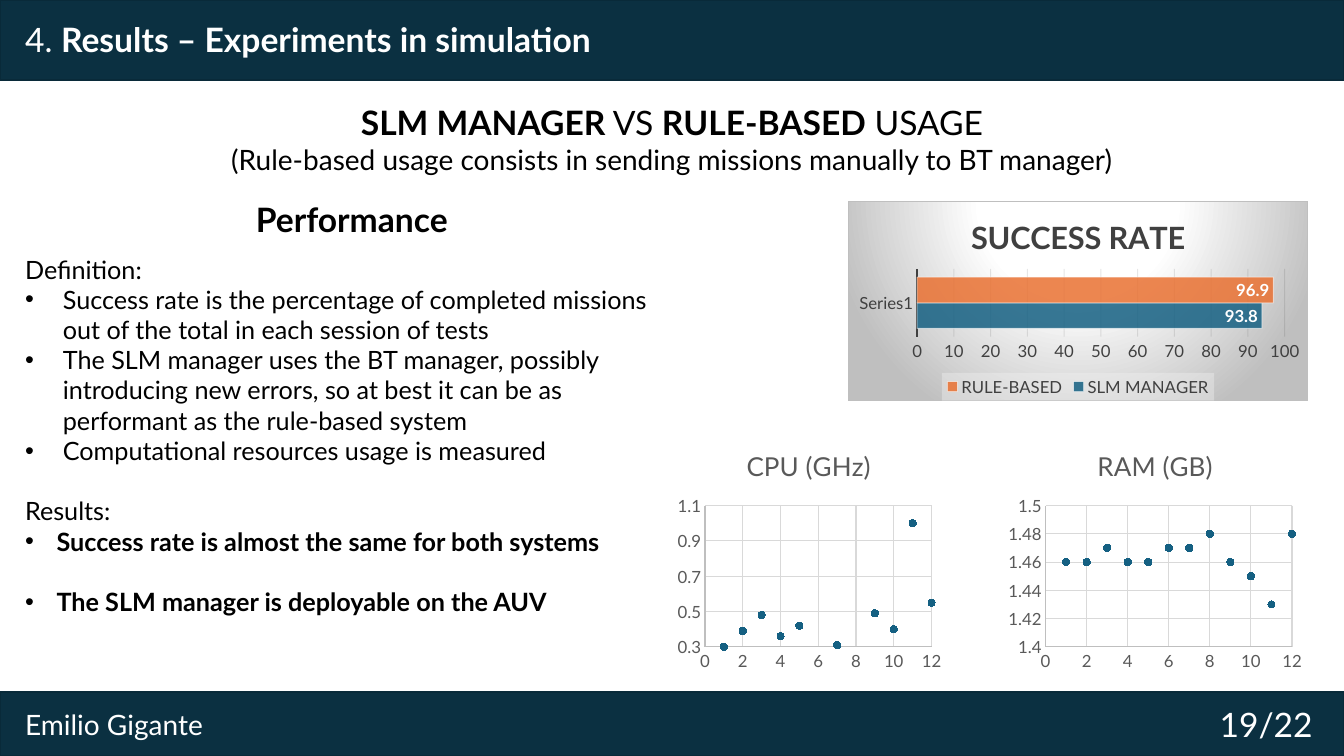
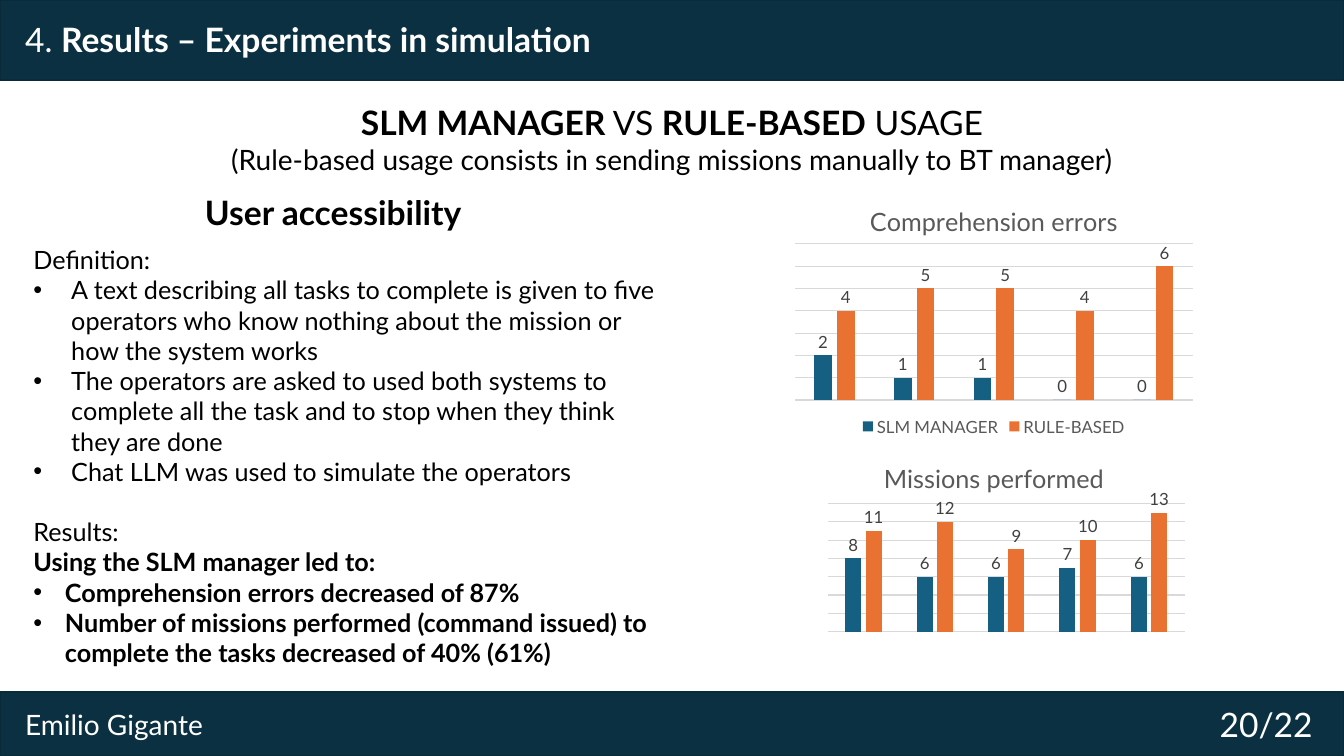
"""Builds two slides of experiment results with native charts and text."""
from dataclasses import dataclass
from typing import NamedTuple

from pptx import Presentation, util as u
from pptx.chart import data
from pptx.dml.color import RGBColor
from pptx.enum import chart as charts, shapes, text
from pptx.oxml import parse_xml
from pptx.oxml.ns import nsdecls

FONT = "Lato"
NAVY = RGBColor(0x0B, 0x30, 0x41)
NAVY_EDGE = RGBColor(0x09, 0x2A, 0x39)
WHITE = RGBColor(0xFF, 0xFF, 0xFF)
BLACK = RGBColor(0, 0, 0)
BLUE = RGBColor(0x15, 0x60, 0x82)
ORANGE = RGBColor(0xE9, 0x71, 0x32)
DARK_GREY = RGBColor(0x40, 0x40, 0x40)
GREY = RGBColor(0x59, 0x59, 0x59)
AXIS_GREY = RGBColor(0xBF, 0xBF, 0xBF)
GRID_GREY = RGBColor(0xD9, 0xD9, 0xD9)
GRID_DARK = RGBColor(0x0D, 0x0D, 0x0D)
SERIES_COLORS = (BLUE, ORANGE)
WIDTH, HEIGHT = 960, 540
LINE = 21.6
PLAIN_BACKGROUND = "<a:noFill/><a:ln><a:noFill/></a:ln>"
GLOW_BACKGROUND = (
    '<a:gradFill><a:gsLst><a:gs pos="0"><a:srgbClr val="FFFFFF"/></a:gs>'
    '<a:gs pos="39000"><a:srgbClr val="FFFFFF"/></a:gs>'
    '<a:gs pos="100000"><a:srgbClr val="BFBFBF"/></a:gs></a:gsLst>'
    '<a:path path="circle"><a:fillToRect l="50000" t="-80000" r="50000" b="180000"/></a:path>'
    '</a:gradFill><a:ln w="9525"><a:solidFill><a:srgbClr val="BFBFBF"/></a:solidFill></a:ln>')
LEGEND_PANEL = ('<a:solidFill><a:srgbClr val="F2F2F2"><a:alpha val="39000"/></a:srgbClr>'
                '</a:solidFill>')


class Box(NamedTuple):
    left: float
    top: float
    width: float
    height: float

    def points(self) -> tuple:
        return tuple(u.Pt(value) for value in self)


class Scale(NamedTuple):
    low: float
    high: float
    step: float


@dataclass(frozen=True)
class Run:
    content: str
    size: float = 18
    bold: bool = False
    color: RGBColor = BLACK


@dataclass(frozen=True)
class Line:
    runs: tuple
    indent: float = 0
    before: float = 0


@dataclass(frozen=True)
class Scatter:
    title: str
    box: Box
    plot: Box
    scale: Scale
    values: tuple


@dataclass(frozen=True)
class Columns:
    title: str
    box: Box
    plot: Box
    scale: Scale
    series: dict
    legend: bool


@dataclass(frozen=True)
class Topic:
    number: str
    heading: str
    heading_box: Box
    body_box: Box
    body: tuple


def plain(content: str, before: float = 0) -> Line:
    return Line((Run(content),), before=before)


def bullet(content: str) -> Line:
    return Line((Run(content),), indent=27)


def finding(content: str, indent: float = 22.5, before: float = 0) -> Line:
    return Line((Run(content, bold=True),), indent, before)


TITLE = (Line((Run("4. ", 24, color=WHITE),
               Run("Results – Experiments in simulation", 24, True, WHITE))),)
COMPARISON = (
    Line((Run("SLM MANAGER", 24, True), Run(" VS ", 24), Run("RULE-BASED", 24, True),
          Run(" USAGE", 24))),
    Line((Run("(Rule-based usage consists in sending missions manually to BT manager)", 20),)),
)
PERFORMANCE = Topic(
    "19/22", "Performance", Box(16.5, 138.3, 469.5, 36), Box(10.8, 177.8, 469.5, 269),
    (plain("Definition:"),
     bullet("Success rate is the percentage of completed missions out of the total in each "
            "session of tests"),
     bullet("The SLM manager uses the BT manager, possibly introducing new errors, so at best "
            "it can be as performant as the rule-based system"),
     bullet("Computational resources usage is measured"),
     plain("Results:", LINE),
     finding("Success rate is almost the same for both systems"),
     finding("The SLM manager is deployable on the AUV", before=LINE)))
ACCESSIBILITY = Topic(
    "20/22", "User accessibility", Box(6.5, 133.2, 463, 36), Box(16.8, 171, 463, 334),
    (plain("Definition:"),
     bullet("A text describing all tasks to complete is given to five operators who know "
            "nothing about the mission or how the system works"),
     bullet("The operators are asked to used both systems to complete all the task and to stop "
            "when they think they are done"),
     bullet("Chat LLM was used to simulate the operators"),
     plain("Results:", LINE),
     finding("Using the SLM manager led to:", indent=0),
     finding("Comprehension errors decreased of 87%"),
     finding("Number of missions performed (command issued) to complete the tasks decreased "
             "of 40% (61%)")))
SCATTERS = (
    Scatter("CPU (GHz)", Box(480.2, 308.9, 195, 174.2), Box(0.12, 0.3, 0.83, 0.58),
            Scale(0.3, 1.1, 0.2),
            (0.3, 0.39, 0.48, 0.36, 0.42, 0.24, 0.31, 0.22, 0.49, 0.4, 1, 0.55)),
    Scatter("RAM (GB)", Box(716.4, 308.9, 217.4, 174.2), Box(0.14, 0.3, 0.81, 0.58),
            Scale(1.4, 1.5, 0.02),
            (1.46, 1.46, 1.47, 1.46, 1.46, 1.47, 1.47, 1.48, 1.46, 1.45, 1.43, 1.48)),
)
COLUMN_CHARTS = (
    Columns("Comprehension errors", Box(561.6, 134.6, 296.6, 180), Box(0.02, 0.22, 0.96, 0.62),
            Scale(0, 7, 1),
            {"SLM MANAGER": (2, 1, 1, 0, 0), "RULE-BASED": (4, 5, 5, 4, 6)}, True),
    Columns("Missions performed", Box(561.6, 318.2, 296.6, 172.8), Box(0.1, 0.24, 0.86, 0.53),
            Scale(0, 14, 2),
            {"Series 1": (8, 6, 6, 7, 6), "Series 2": (11, 12, 9, 10, 13)}, False),
)


def style_font(font, size: float, color: RGBColor, bold: bool = False) -> None:
    font.name, font.size, font.bold = FONT, u.Pt(size), bold
    font.color.rgb = color


def style_line(line, color: RGBColor, width: float) -> None:
    line.color.rgb = color
    line.width = u.Pt(width)


def add_bullet(paragraph, indent: float) -> None:
    properties = paragraph._p.get_or_add_pPr()
    properties.set("marL", str(u.Pt(indent)))
    properties.set("indent", str(-u.Pt(indent)))
    for tag in ('buFont typeface="Arial"', 'buChar char="•"'):
        properties.append(parse_xml(f"<a:{tag} {nsdecls('a')}/>"))


def add_text(slide, box: Box, lines: tuple, centered: bool = False) -> None:
    frame = slide.shapes.add_textbox(*box.points()).text_frame
    frame.word_wrap = True
    frame.auto_size = text.MSO_AUTO_SIZE.SHAPE_TO_FIT_TEXT
    for index, line in enumerate(lines):
        paragraph = frame.add_paragraph() if index else frame.paragraphs[0]
        paragraph.alignment = text.PP_ALIGN.CENTER if centered else text.PP_ALIGN.LEFT
        if line.before:
            paragraph.space_before = u.Pt(line.before)
        if line.indent:
            add_bullet(paragraph, line.indent)
        for item in line.runs:
            run = paragraph.add_run()
            run.text = item.content
            style_font(run.font, item.size, item.color, item.bold)


def add_band(slide, top: float, height: float) -> None:
    band = slide.shapes.add_shape(shapes.MSO_SHAPE.RECTANGLE,
                                  *Box(0, top, WIDTH, height).points())
    band.shadow.inherit = False
    band.fill.solid()
    band.fill.fore_color.rgb = NAVY
    style_line(band.line, NAVY_EDGE, 1.5)


def add_topic_slide(presentation, topic: Topic):
    slide = presentation.slides.add_slide(presentation.slide_layouts[6])
    add_band(slide, 0, 57)
    add_band(slide, 494.6, HEIGHT - 494.6)
    add_text(slide, Box(859, 499, 90.7, 36), (Line((Run(topic.number, 24, color=WHITE),)),), True)
    add_text(slide, Box(10.8, 502, 173.5, 31.5),
             (Line((Run("Emilio Gigante", 20, color=WHITE),)),))
    add_text(slide, Box(10.8, 10.1, 691, 36), TITLE)
    add_text(slide, Box(0, 69.1, WIDTH, 60.5), COMPARISON, True)
    add_text(slide, topic.heading_box, (Line((Run(topic.heading, 24, True),)),), True)
    add_text(slide, topic.body_box, topic.body)
    return slide


def shape_properties(content: str):
    return parse_xml(f"<c:spPr {nsdecls('c', 'a')}>{content}</c:spPr>")


def add_chart(slide, kind, box: Box, plot: Box, chart_data, title: Run,
              background: str = PLAIN_BACKGROUND):
    chart = slide.shapes.add_chart(kind, *box.points(), chart_data).chart
    style_font(chart.font, 10, BLACK)
    run = chart.chart_title.text_frame.paragraphs[0].add_run()
    run.text = title.content
    style_font(run.font, title.size, title.color, title.bold)
    chart.chart_title.include_in_layout = False
    chart.has_legend = False
    chart.plots[0].vary_by_categories = False
    chart.element.xpath("c:chart")[0].addnext(shape_properties(background))
    area = chart.element.xpath("c:chart/c:plotArea")[0]
    for layout in area.xpath("c:layout"):
        area.remove(layout)
    sizes = "".join(f'<c:{tag} val="{value}"/>' for tag, value in zip("xywh", plot))
    area.insert(0, parse_xml(
        f'<c:layout {nsdecls("c")}><c:manualLayout><c:layoutTarget val="inner"/>'
        f'<c:xMode val="edge"/><c:yMode val="edge"/>{sizes}</c:manualLayout></c:layout>'))
    return chart


def style_axis(axis, color: RGBColor, scale: Scale | None = None,
               grid: RGBColor | None = None) -> None:
    axis.major_tick_mark = axis.minor_tick_mark = charts.XL_TICK_MARK.NONE
    style_font(axis.tick_labels.font, 12, color)
    if scale:
        axis.minimum_scale, axis.maximum_scale, axis.major_unit = scale
    axis.has_major_gridlines = grid is not None
    if grid is not None:
        style_line(axis.major_gridlines.format.line, grid, 0.75)


def add_legend(chart, color: RGBColor) -> None:
    chart.has_legend = True
    chart.legend.position = charts.XL_LEGEND_POSITION.BOTTOM
    chart.legend.include_in_layout = False
    style_font(chart.legend.font, 12, color)


def style_bars(chart, gap: int, overlap: int, position, label: RGBColor, bold: bool) -> None:
    plot = chart.plots[0]
    plot.gap_width, plot.overlap = gap, overlap
    for series, color in zip(plot.series, SERIES_COLORS):
        series.format.fill.solid()
        series.format.fill.fore_color.rgb = color
        series.data_labels.show_value = True
        series.data_labels.position = position
        style_font(series.data_labels.font, 12, label, bold)


def set_opacity(chart, location: str, percent: int) -> None:
    for color in chart.element.xpath(f".//{location}//a:srgbClr"):
        color.append(parse_xml(f'<a:alpha {nsdecls("a")} val="{percent * 1000}"/>'))


def add_success_chart(slide) -> None:
    chart_data = data.CategoryChartData()
    chart_data.categories = ["Series1"]
    chart_data.add_series("SLM MANAGER", [93.8])
    chart_data.add_series("RULE-BASED", [96.9])
    chart = add_chart(slide, charts.XL_CHART_TYPE.BAR_CLUSTERED, Box(605.5, 143.3, 329, 143.3),
                      Box(0.15, 0.34, 0.8, 0.34), chart_data,
                      Run("SUCCESS RATE", 22, True, DARK_GREY), GLOW_BACKGROUND)
    style_axis(chart.category_axis, DARK_GREY)
    style_line(chart.category_axis.format.line, DARK_GREY, 1.5)
    style_axis(chart.value_axis, DARK_GREY, Scale(0, 100, 10), GRID_DARK)
    chart.value_axis.format.line.fill.background()
    add_legend(chart, DARK_GREY)
    chart.element.xpath(".//c:legend/c:txPr")[0].addprevious(shape_properties(LEGEND_PANEL))
    style_bars(chart, 65, 0, charts.XL_LABEL_POSITION.INSIDE_END, WHITE, True)
    for series in chart.plots[0].series:
        style_line(series.format.line, WHITE, 0.75)
    set_opacity(chart, "c:ser/c:spPr/a:solidFill", 85)
    set_opacity(chart, "c:ser/c:spPr/a:ln", 50)
    set_opacity(chart, "c:majorGridlines", 10)


def add_scatter(slide, item: Scatter) -> None:
    chart_data = data.XyChartData()
    points = chart_data.add_series(item.title)
    for x, y in enumerate(item.values, 1):
        points.add_data_point(x, y)
    chart = add_chart(slide, charts.XL_CHART_TYPE.XY_SCATTER, item.box, item.plot, chart_data,
                      Run(item.title, 18.6, color=GREY))
    for axis, scale in ((chart.category_axis, Scale(0, 12, 2)), (chart.value_axis, item.scale)):
        style_axis(axis, GREY, scale, GRID_GREY)
        style_line(axis.format.line, AXIS_GREY, 0.75)
    series = chart.plots[0].series[0]
    series.format.line.fill.background()
    series.marker.style, series.marker.size = charts.XL_MARKER_STYLE.CIRCLE, 5
    series.marker.format.fill.solid()
    series.marker.format.fill.fore_color.rgb = BLUE
    style_line(series.marker.format.line, BLUE, 0.75)


def add_columns(slide, item: Columns) -> None:
    chart_data = data.CategoryChartData()
    chart_data.categories = ["1", "2", "3", "4", "5"]
    for name, values in item.series.items():
        chart_data.add_series(name, values)
    chart = add_chart(slide, charts.XL_CHART_TYPE.COLUMN_CLUSTERED, item.box, item.plot,
                      chart_data, Run(item.title, color=GREY))
    style_axis(chart.value_axis, GREY, item.scale, GRID_GREY)
    chart.category_axis.visible = chart.value_axis.visible = False
    style_bars(chart, 219, -27, charts.XL_LABEL_POSITION.OUTSIDE_END, DARK_GREY, False)
    if item.legend:
        add_legend(chart, GREY)


def main() -> None:
    presentation = Presentation()
    presentation.slide_width, presentation.slide_height = u.Pt(WIDTH), u.Pt(HEIGHT)
    slide = add_topic_slide(presentation, PERFORMANCE)
    add_success_chart(slide)
    for scatter in SCATTERS:
        add_scatter(slide, scatter)
    slide = add_topic_slide(presentation, ACCESSIBILITY)
    for columns in COLUMN_CHARTS:
        add_columns(slide, columns)
    presentation.save("out.pptx")


if __name__ == "__main__":
    main()
